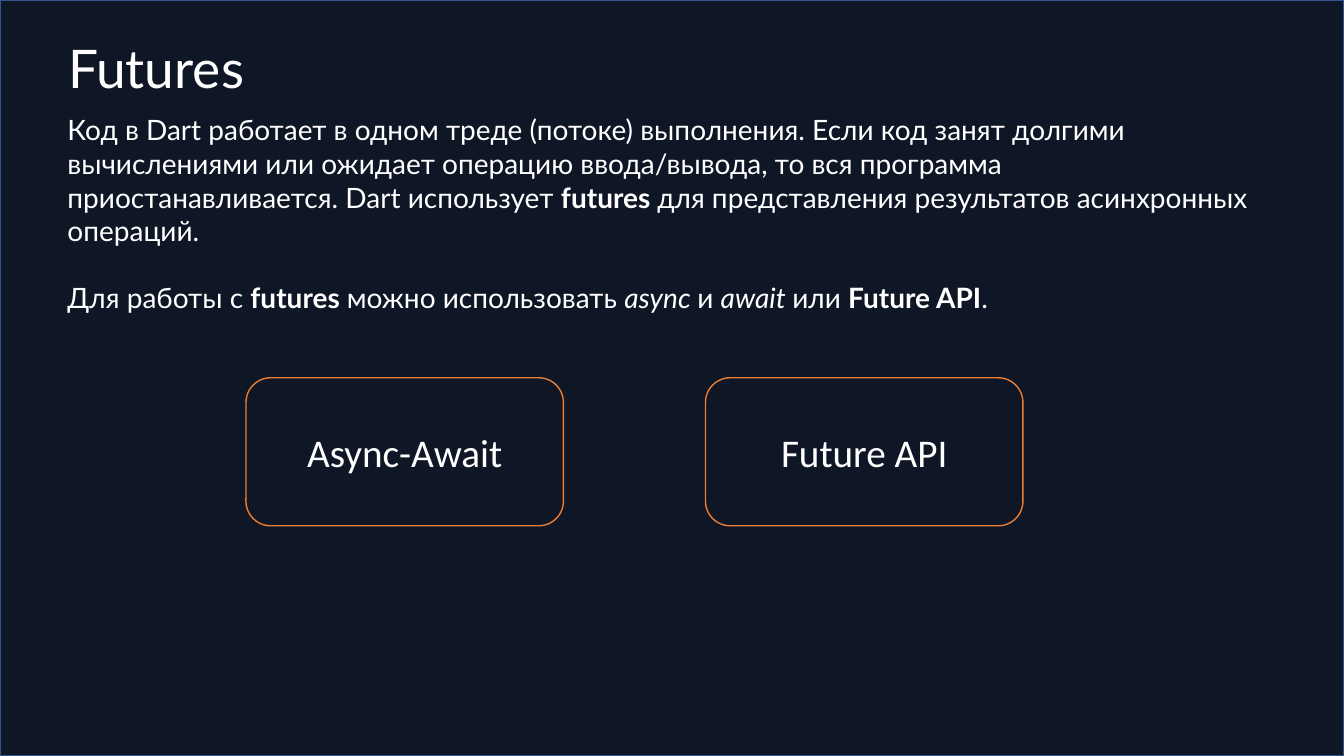
from pptx import Presentation
from pptx.dml.color import RGBColor
from pptx.enum.shapes import MSO_SHAPE
from pptx.enum.text import MSO_ANCHOR, MSO_AUTO_SIZE, PP_ALIGN
from pptx.util import Cm, Pt

NIGHT, EDGE, ORANGE, WHITE = "0F1727", "325491", "ED7D31", "FFFFFF"

EXPLANATION = [
    [
        ("Код в Dart работает в одном треде (потоке) выполнения. "
         "Если код занят долгими вычислениями или ожидает операцию "
         "ввода/вывода, то вся программа приостанавливается. "
         "Dart использует ", ""),
        ("futures ", "bold"),
        ("для представления результатов асинхронных операций.", ""),
    ],
    [
        ("Для работы с ", ""),
        ("futures ", "bold"),
        ("можно использовать ", ""),
        ("async ", "italic"),
        ("и ", ""),
        ("await ", "italic"),
        ("или ", ""),
        ("Future API", "bold"),
        (".", ""),
    ],
]


def color(code):
    return RGBColor.from_string(code)


def style_run(run, size, font, emphasis=""):
    run.font.size = Pt(size)
    run.font.name = font
    run.font.color.rgb = color(WHITE)
    run.font.bold = emphasis == "bold"
    run.font.italic = emphasis == "italic"


def add_panel(slide, kind, left, top, width, height, edge, fill=None):
    panel = slide.shapes.add_shape(kind, left, top, width, height)
    panel.shadow.inherit = False
    if fill:
        panel.fill.solid()
        panel.fill.fore_color.rgb = color(fill)
    else:
        panel.fill.background()
    panel.line.color.rgb = color(edge)
    panel.line.width = Pt(1)
    return panel


def add_option(slide, label, left):
    option = add_panel(slide, MSO_SHAPE.ROUNDED_RECTANGLE,
                       left, Cm(9.52), Cm(8), Cm(3.73), ORANGE)
    frame = option.text_frame
    frame.text = label
    frame.vertical_anchor = MSO_ANCHOR.MIDDLE
    frame.paragraphs[0].alignment = PP_ALIGN.CENTER
    style_run(frame.paragraphs[0].runs[0], 28, "Calibri")


def add_text(slide, paragraphs, left, top, width, height, size, spacing=None):
    frame = slide.shapes.add_textbox(left, top, width, height).text_frame
    frame.word_wrap = True
    frame.auto_size = MSO_AUTO_SIZE.SHAPE_TO_FIT_TEXT
    for index, phrases in enumerate(paragraphs):
        paragraph = frame.add_paragraph() if index else frame.paragraphs[0]
        paragraph.line_spacing = spacing
        if index:
            paragraph.space_before = Pt(24)
        for phrase, emphasis in phrases:
            run = paragraph.add_run()
            run.text = phrase
            style_run(run, size, "Lato", emphasis)


def main():
    deck = Presentation()
    deck.slide_width, deck.slide_height = Cm(33.87), Cm(19.05)
    slide = deck.slides.add_slide(deck.slide_layouts[6])

    add_panel(slide, MSO_SHAPE.RECTANGLE, Cm(0), Cm(0),
              deck.slide_width, deck.slide_height, EDGE, NIGHT)
    add_text(slide, EXPLANATION, Cm(1.45), Cm(2.72), Cm(30.6), Cm(5.38), 20)
    add_text(slide, [[("Futures", "")]],
             Cm(1.47), Cm(1.14), Cm(16.46), Cm(1.57), 38, 0.75)
    for column, label in enumerate(["Async-Await", "Future API"]):
        add_option(slide, label, Cm(6.2 + 11.58 * column))

    deck.save("out.pptx")


if __name__ == "__main__":
    main()
